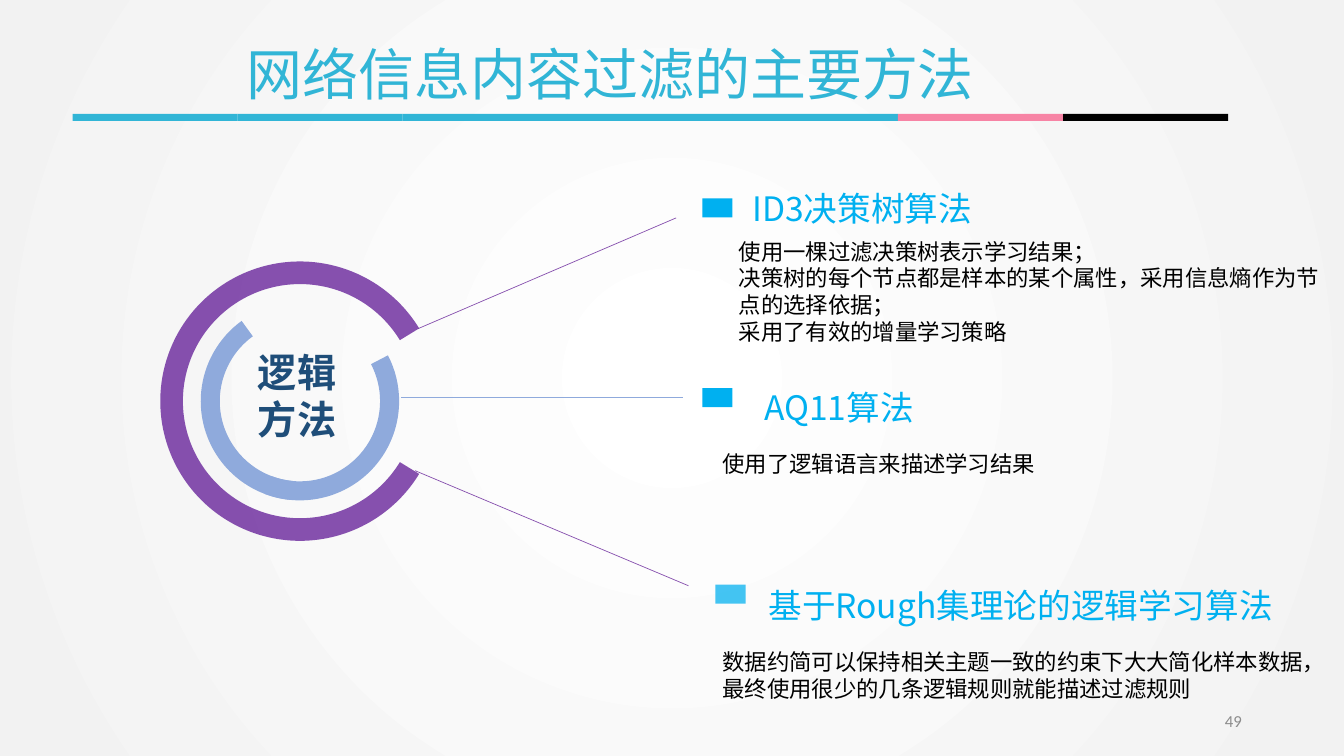
from lxml.etree import SubElement
from pptx import Presentation
from pptx.dml.color import RGBColor
from pptx.enum.shapes import MSO_CONNECTOR, MSO_SHAPE
from pptx.enum.text import MSO_ANCHOR, MSO_AUTO_SIZE, PP_ALIGN
from pptx.oxml.ns import qn
from pptx.util import Cm, Pt

COLORS = {
    "cyan": "31B5D6", "pink": "F784A5", "black": "000000", "navy": "1F4E79",
    "sky": "00B0F0", "purple": "7030A0", "violet": "8650AE", "blue": "8FAADC",
    "gray": "8C8C8C", "white": "FFFFFF", "mist": "F2F2F2",
}
CJK = "Noto Sans CJK SC"
TITLE = "网络信息内容过滤的主要方法"
TOPIC = "逻辑方法"
PAGE_NUMBER = "49"
METHODS = [
    {
        "heading": "ID3决策树算法", "heading_at": (18.03, 4.22, 7.39, 1.52),
        "marker_at": (17.7, 5), "marker_alpha": 100,
        "body": ["使用一棵过滤决策树表示学习结果；",
                 "决策树的每个节点都是样本的某个属性，采用信息熵作为节点的选择依据；",
                 "采用了有效的增量学习策略"],
        "body_at": (18.44, 5.99, 15.34, 2.77),
        "line": (17.04, 5.49, 10.54, 8.28), "line_color": "violet",
    },
    {
        "heading": "AQ11算法", "heading_at": (17.45, 9.25, 7.39, 1.52),
        "marker_at": (17.7, 9.78), "marker_alpha": 100,
        "body": ["使用了逻辑语言来描述学习结果"],
        "body_at": (18.03, 11.35, 15.34, 0.74),
        "line": (17.2, 10.01, 10.11, 10.01), "line_color": "blue",
    },
    {
        "heading": "基于Rough集理论的逻辑学习算法", "heading_at": (18.72, 14.22, 14, 1.52),
        "marker_at": (18.03, 14.73), "marker_alpha": 73,
        "body": ["数据约简可以保持相关主题一致的约束下大大简化样本数据，最终使用很少的几条逻辑规则就能描述过滤规则"],
        "body_at": (18.03, 16.33, 15.34, 1.4),
        "line": (17.35, 14.76, 10.46, 11.86), "line_color": "violet",
    },
]
BAR_COLORS = ["cyan"] * 5 + ["pink", "black"]
BAR_LEFT, BAR_TOP, BAR_WIDTH, BAR_HEIGHT = 1.83, 2.87, 4.16, 0.18
MARKER_SIZE = (0.76, 0.48)
RING_CENTER = (7.56, 10.11)
RINGS = [
    {"radius": 2.5, "band": 0.48, "angles": (95.5, 234), "color": "blue", "alpha": 100},
    {"radius": 2.5, "band": 0.48, "angles": (332.5, 110.5), "color": "blue", "alpha": 100},
    {"radius": 3.52, "band": 0.57, "angles": (31.4, 328.6), "color": "purple", "alpha": 84},
]


def rgb(name):
    return RGBColor.from_string(COLORS[name])


def add_text(page, at, lines, size, color, name=CJK, bold=False, align=PP_ALIGN.LEFT,
             spacing=None, insets=None, wrap=True, anchor=MSO_ANCHOR.TOP,
             fit=MSO_AUTO_SIZE.SHAPE_TO_FIT_TEXT):
    frame = page.shapes.add_textbox(*map(Cm, at)).text_frame
    frame.word_wrap = wrap
    frame.auto_size = fit
    frame.vertical_anchor = anchor
    if insets:
        frame.margin_left = frame.margin_right = Cm(insets[0])
        frame.margin_top = frame.margin_bottom = Cm(insets[1])
    frame.text = "\n".join(lines)
    for para in frame.paragraphs:
        para.alignment = align
        if spacing:
            para.line_spacing = spacing
        para.font.size = Pt(size)
        para.font.bold = bold
        para.font.color.rgb = rgb(color)
        para.font.name = name
        latin = para._p.find(".//" + qn("a:latin"))
        east_asian = SubElement(latin.getparent(), qn("a:ea"), typeface=name)
        latin.addnext(east_asian)


def add_filled(page, kind, at, color, alpha=100):
    shape = page.shapes.add_shape(kind, *map(Cm, at))
    shape.shadow.inherit = False
    shape.line.fill.background()
    shape.fill.solid()
    shape.fill.fore_color.rgb = rgb(color)
    if alpha < 100:
        tint = shape._element.spPr.find(".//" + qn("a:srgbClr"))
        SubElement(tint, qn("a:alpha"), val=str(alpha * 1000))
    return shape


def add_ring(page, ring):
    radius = ring["radius"]
    corner = [middle - radius for middle in RING_CENTER]
    arc = add_filled(page, MSO_SHAPE.BLOCK_ARC, (*corner, 2 * radius, 2 * radius),
                     ring["color"], ring["alpha"])
    start, end = ring["angles"]
    arc.adjustments[0] = start * 0.6
    arc.adjustments[1] = end * 0.6
    arc.adjustments[2] = ring["band"] / (2 * radius)


def add_line(page, ends, color):
    line = page.shapes.add_connector(MSO_CONNECTOR.STRAIGHT, *map(Cm, ends))
    line.line.color.rgb = rgb(color)
    line.line.width = Pt(0.5)
    SubElement(line._element.spPr, qn("a:effectLst"))


def set_background(page):
    fill = page.background.fill
    fill.gradient()
    for stop, color, position in zip(fill.gradient_stops, ("white", "mist"), (0, 1)):
        stop.color.rgb = rgb(color)
        stop.position = position
    gradient = page._element.find(".//" + qn("a:gradFill"))
    gradient.remove(gradient.find(qn("a:lin")))
    circle = SubElement(gradient, qn("a:path"), path="circle")
    SubElement(circle, qn("a:fillToRect"), l="50000", t="50000", r="50000", b="50000")


def main():
    deck = Presentation()
    deck.slide_width, deck.slide_height = Cm(33.87), Cm(19.05)
    page = deck.slides.add_slide(deck.slide_layouts[6])
    set_background(page)

    add_text(page, (5.97, 0.86, 18.85, 1.96), [TITLE], 40, "cyan", wrap=False)
    for index, color in enumerate(BAR_COLORS):
        left = BAR_LEFT + index * BAR_WIDTH
        add_filled(page, MSO_SHAPE.RECTANGLE, (left, BAR_TOP, BAR_WIDTH, BAR_HEIGHT), color)

    add_text(page, (6.25, 8.64, 2.62, 2.72), [TOPIC], 28, "navy", bold=True)
    for method in METHODS:
        add_text(page, method["heading_at"], [method["heading"]], 24, "sky",
                 align=PP_ALIGN.CENTER, spacing=1.5, insets=(0.18, 0))
        add_filled(page, MSO_SHAPE.RECTANGLE, (*method["marker_at"], *MARKER_SIZE),
                   "sky", method["marker_alpha"])
        add_text(page, method["body_at"], method["body"], 16, "black", insets=(0.18, 0))
        add_line(page, method["line"], method["line_color"])
    for ring in RINGS:
        add_ring(page, ring)

    add_text(page, (23.93, 17.65, 7.62, 1.02), [PAGE_NUMBER], 12, "gray", name="Calibri",
             align=PP_ALIGN.RIGHT, anchor=MSO_ANCHOR.MIDDLE, fit=MSO_AUTO_SIZE.NONE)
    deck.save("out.pptx")


if __name__ == "__main__":
    main()
